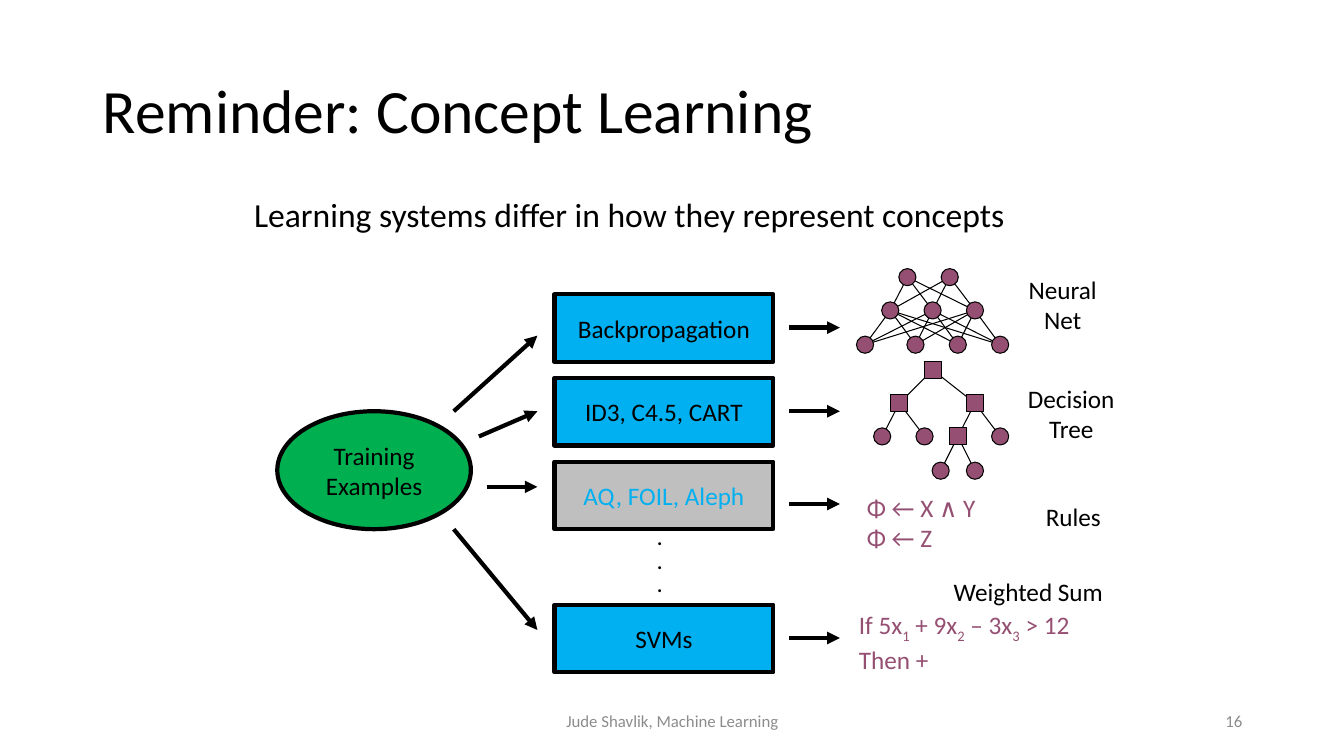
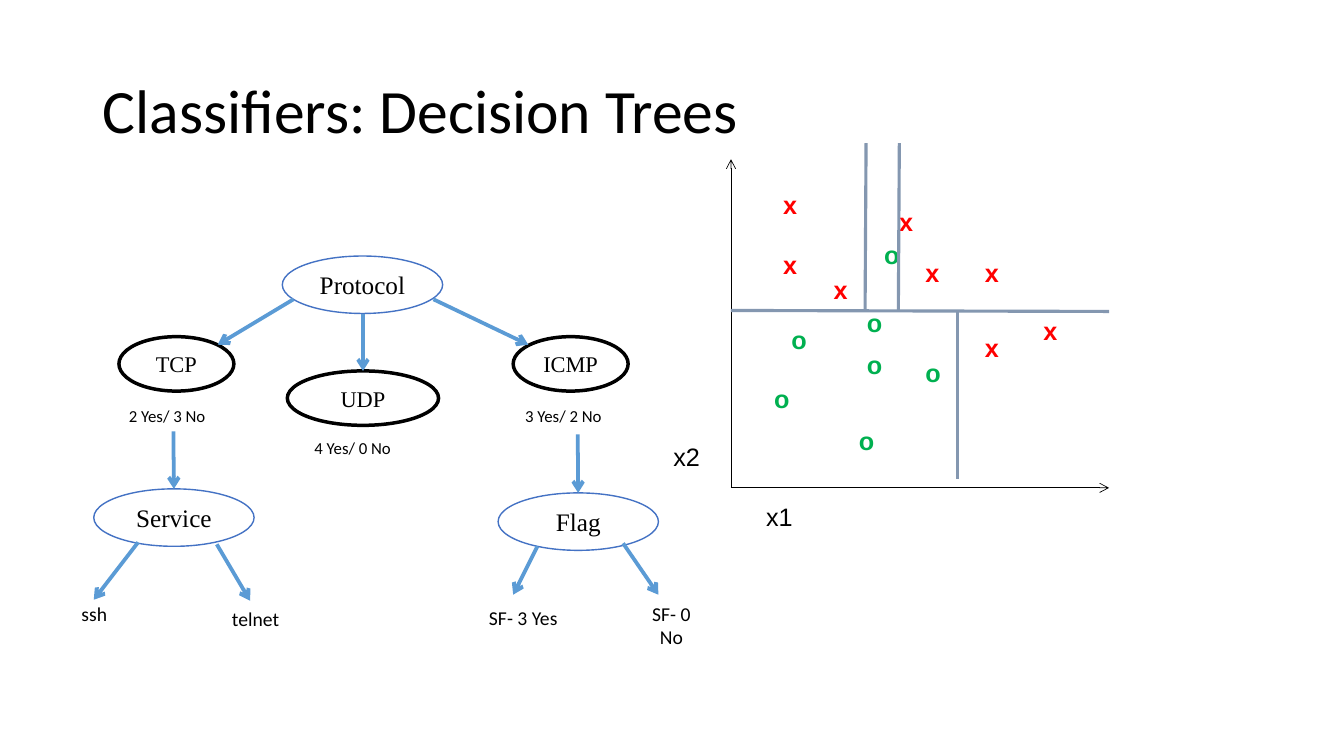
from itertools import pairwise, product

from lxml import etree
from pptx import Presentation
from pptx.dml.color import RGBColor
from pptx.enum import shapes, text as text_enum
from pptx.oxml import ns
from pptx.util import Inches, Pt

BLACK = "000000"
GRAY = "8C8C8C"
PLUM = "954F72"
GREEN = "00B050"
SKY = "00B0F0"
STEEL = "8497B0"
ARROW_BLUE = "5B9BD5"
OVAL = shapes.MSO_SHAPE.OVAL
RECTANGLE = shapes.MSO_SHAPE.RECTANGLE
LEFT, CENTER, RIGHT = (text_enum.PP_ALIGN.LEFT, text_enum.PP_ALIGN.CENTER,
                       text_enum.PP_ALIGN.RIGHT)
TOP, MIDDLE = text_enum.MSO_ANCHOR.TOP, text_enum.MSO_ANCHOR.MIDDLE


def draw_text(slide, text, box, placeholder=None, geometry=None, fill=None, outline=BLACK,
              weight=0.75, size=18, font="Calibri", color=BLACK, bold=False,
              align=LEFT, anchor=TOP, wrap=True, spacing=None):
    left, top, width, height = [Inches(value) for value in box]
    if placeholder is not None:
        shape = placeholder
        shape.left, shape.top, shape.width, shape.height = left, top, width, height
    elif geometry is not None:
        shape = slide.shapes.add_shape(geometry, left, top, width, height)
        shape.shadow.inherit = False
        shape.fill.solid()
        shape.fill.fore_color.rgb = RGBColor.from_string(fill)
        shape.line.color.rgb = RGBColor.from_string(outline)
        shape.line.width = Pt(weight)
    else:
        shape = slide.shapes.add_textbox(left, top, width, height)
    frame = shape.text_frame
    frame.auto_size = text_enum.MSO_AUTO_SIZE.NONE
    frame.word_wrap = wrap
    frame.vertical_anchor = anchor
    for index, line in enumerate(text.split("\n") if text else []):
        paragraph = frame.add_paragraph() if index else frame.paragraphs[0]
        paragraph.alignment = align
        if spacing:
            paragraph.line_spacing = spacing
            paragraph.space_before = Pt(0)
            properties = paragraph._p.get_or_add_pPr()
            properties.set("marL", "0")
            properties.set("indent", "0")
            etree.SubElement(properties, ns.qn("a:buNone"))
        paragraph.font.size = Pt(size)
        start, *subscripted = line.split("_")
        pieces = [(start, False)]
        for part in subscripted:
            pieces += [(part[0], True), (part[1:], False)]
        for content, lowered in pieces:
            if not content:
                continue
            run = paragraph.add_run()
            run.text = content
            run.font.size = Pt(size)
            run.font.name = font
            run.font.bold = bold
            run.font.color.rgb = RGBColor.from_string(color)
            if lowered:
                run._r.get_or_add_rPr().set("baseline", "-25000")
    return shape


def draw_line(slide, start, end, color=BLACK, width=0.75, head=None):
    connector = slide.shapes.add_connector(
        shapes.MSO_CONNECTOR.STRAIGHT, *[Inches(value) for value in (*start, *end)])
    connector.line.color.rgb = RGBColor.from_string(color)
    connector.line.width = Pt(width)
    if head:
        etree.SubElement(connector.line._get_or_add_ln(), ns.qn("a:tailEnd")).set("type", head)
    etree.SubElement(connector._element.spPr, ns.qn("a:effectLst"))
    return connector


presentation = Presentation()
presentation.slide_width = Inches(13.33)
presentation.slide_height = Inches(7.5)
slides = []
for title, layout in [("Reminder: Concept Learning", 1), ("Classifiers: Decision Trees", 5)]:
    slide = presentation.slides.add_slide(presentation.slide_layouts[layout])
    draw_text(slide, title, (0.92, 0.4, 11.5, 1.45), placeholder=slide.shapes.title,
              size=44, anchor=MIDDLE, spacing=0.9)
    slides.append(slide)
concepts, trees = slides

draw_text(concepts, "Learning systems differ in how they represent concepts",
          (2.42, 1.92, 8.67, 0.92), placeholder=concepts.placeholders[1], size=24, spacing=0.9)
draw_text(concepts, "Training\nExamples", (2.75, 4.08, 1.92, 1.17), geometry=OVAL,
          fill=GREEN, weight=3, align=CENTER, anchor=MIDDLE, wrap=False)
for name, top, fill, color in [
    ("Backpropagation", 2.92, SKY, BLACK),
    ("ID3, C4.5, CART", 3.75, SKY, BLACK),
    ("AQ, FOIL, Aleph", 4.58, "BFBFBF", SKY),
    ("SVMs", 6, SKY, BLACK),
]:
    draw_text(concepts, name, (5.5, top, 2.17, 0.67), geometry=RECTANGLE, fill=fill,
              weight=3, color=color, align=CENTER, anchor=MIDDLE, wrap=False)
draw_text(concepts, ".\n.\n.", (6.42, 5.17, 0.25, 0.81), size=14, bold=True, wrap=False)

for start, end in [((4.5, 4.08), (5.33, 3.33)), ((4.75, 4.33), (5.33, 4.08)),
                   ((4.83, 4.83), (5.33, 4.83)), ((4.5, 5.25), (5.33, 6.25))]:
    draw_line(concepts, start, end, width=3, head="triangle")
for y in (3.25, 4.08, 5, 6.33):
    draw_line(concepts, (7.83, y), (8.33, y), width=3, head="triangle")

layers = [
    [(x, 2.75) for x in (9, 9.42)],
    [(x, 3.08) for x in (8.83, 9.25, 9.67)],
    [(x, 3.42) for x in (8.58, 9.08, 9.5, 9.92)],
]
branches = {
    (9.25, 3.67): [(8.92, 4), (9.67, 4)],
    (8.92, 4): [(8.75, 4.33), (9.17, 4.33)],
    (9.67, 4): [(9.5, 4.33), (9.92, 4.33)],
    (9.5, 4.33): [(9.33, 4.67), (9.67, 4.67)],
}
edges = [edge for upper, lower in pairwise(layers) for edge in product(upper, lower)]
edges += [(parent, child) for parent, children in branches.items() for child in children]
for start, end in edges:
    draw_line(concepts, start, end)
neurons = {node for layer in layers for node in layer}
tree_nodes = {node for edge in edges for node in edge} - neurons
node_size = 0.17
for x, y in sorted(neurons | tree_nodes):
    draw_text(concepts, "", (x - node_size / 2, y - node_size / 2, node_size, node_size),
              geometry=RECTANGLE if (x, y) in branches else OVAL, fill=PLUM)

for label, box in [
    ("Neural\nNet", (10.08, 2.67, 0.92, 0.7)),
    ("Decision\nTree", (10.09, 3.75, 1.07, 0.71)),
    ("Rules", (10.27, 4.92, 0.75, 0.4)),
    ("Weighted Sum", (9.32, 5.67, 1.76, 0.4)),
]:
    draw_text(concepts, label, box, align=CENTER, wrap=False)
for formula, box in [
    ("Φ ← X ∧ Y\nΦ ← Z", (8.5, 4.83, 1.28, 0.71)),
    ("If 5x_1 + 9x_2 – 3x_3 > 12\nThen +", (8.42, 6, 2.35, 0.71)),
]:
    draw_text(concepts, formula, box, color=PLUM, wrap=False)
for label, box, align in [
    ("16", (9.42, 6.95, 3, 0.4), RIGHT),
    ("Jude Shavlik, Machine Learning", (4.42, 6.95, 4.5, 0.4), CENTER),
]:
    draw_text(concepts, label, box, size=12, color=GRAY, align=align, anchor=MIDDLE)

samples = {
    ("x", "FF0000", 0.34): [(9.08, 2.5), (9.67, 2.5), (9.67, 3.25), (10.25, 3.08),
                            (7.67, 1.83), (7.67, 2.42), (8.82, 2), (8.17, 2.67)],
    ("o", GREEN, 0.36): [(8.67, 2.33), (9.08, 3.5), (7.58, 3.75), (7.75, 3.17),
                         (8.42, 4.17), (8.5, 3.42), (8.5, 3)],
}
for (mark, color, width), places in samples.items():
    for left, top in places:
        draw_text(trees, mark, (left, top, width, 0.4), font="Arial", color=color,
                  bold=True, wrap=False)
for label, left, top in [("x2", 6.58, 4.33), ("x1", 7.5, 4.92)]:
    draw_text(trees, label, (left, top, 0.47, 0.4), font="Arial", wrap=False)
for end in [(7.25, 1.58), (11, 4.84)]:
    draw_line(trees, (7.25, 4.84), end, width=0.5, head="arrow")
for start, end in [((7.25, 3.08), (11, 3.09)), ((9.5, 3.09), (9.5, 4.75)),
                   ((8.59, 1.42), (8.58, 3.08)), ((8.92, 1.42), (8.91, 3.08))]:
    draw_line(trees, start, end, color=STEEL, width=2.25)

ovals = {}
for name, left, top in [("Protocol", 2.8, 2.54), ("Service", 0.93, 4.85), ("Flag", 4.94, 4.89)]:
    ovals[name] = draw_text(trees, name, (left, top, 1.59, 0.57), geometry=OVAL, fill="FFFFFF",
                            outline="4472C4", weight=1, font="Times New Roman",
                            align=CENTER, anchor=MIDDLE)
for name, left, top, width in [("TCP", 1.18, 3.34, 1.14), ("UDP", 2.85, 3.68, 1.5),
                               ("ICMP", 5.09, 3.34, 1.14)]:
    ovals[name] = draw_text(trees, name, (left, top, width, 0.54), geometry=OVAL, fill="FFFFFF",
                            weight=2.5, size=16, font="Times New Roman",
                            align=CENTER, anchor=MIDDLE)
for start, end, target in [
    ((2.91, 2.97), (2.16, 3.42), None),
    ((3.6, 3.12), (3.6, 3.68), "UDP"),
    ((4.3, 2.97), (5.24, 3.42), None),
    ((1.72, 4.28), (1.72, 4.85), "Service"),
    ((5.73, 4.31), (5.73, 4.89), "Flag"),
    ((1.37, 5.38), (0.93, 5.95), None),
    ((2.15, 5.4), (2.48, 5.96), None),
    ((5.33, 5.42), (5.09, 5.9), None),
    ((6.18, 5.39), (6.53, 5.9), None),
]:
    arrow = draw_line(trees, start, end, color=ARROW_BLUE, width=2.68, head="arrow")
    if target:
        arrow.end_connect(ovals[target], 0)
for label, left, top in [("2 Yes/ 3 No", 1.18, 3.98), ("4 Yes/ 0 No", 3.02, 4.29),
                         ("3 Yes/ 2 No", 5.11, 3.98)]:
    draw_text(trees, label, (left, top, 1.25, 0.3), size=12)
for label, box in [
    ("ssh", (0.38, 5.92, 1.11, 0.34)),
    ("telnet", (1.98, 5.97, 1.11, 0.34)),
    ("SF- 3 Yes", (4.72, 5.96, 0.94, 0.57)),
    ("SF- 0\nNo", (6.03, 5.92, 1.26, 0.57)),
]:
    draw_text(trees, label, box, size=14, align=CENTER)

presentation.save("out.pptx")
